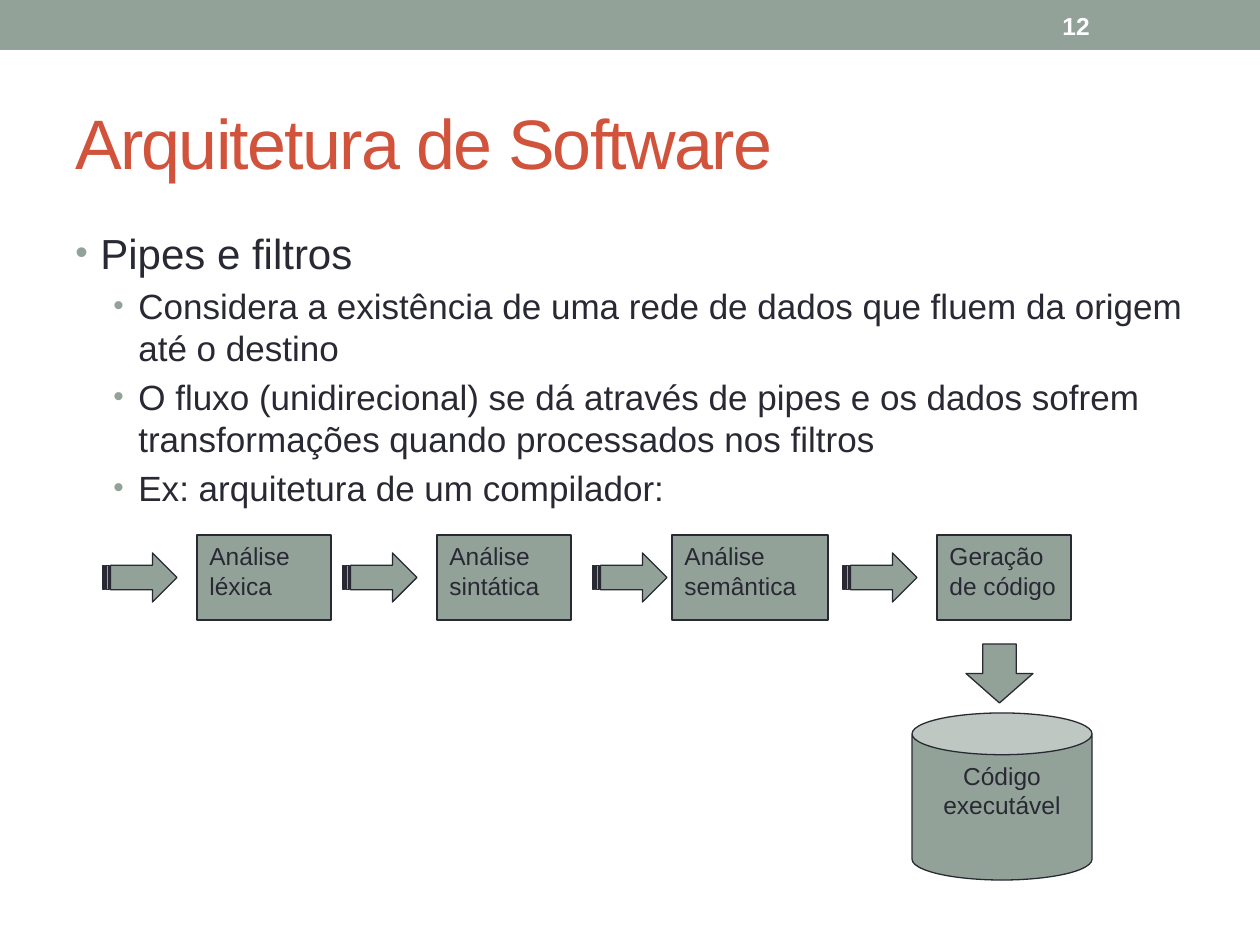
from lxml.etree import SubElement
from pptx import Presentation
from pptx.dml.color import RGBColor
from pptx.enum.shapes import MSO_SHAPE as Shape
from pptx.enum.text import MSO_ANCHOR as Anchor, PP_ALIGN as Align
from pptx.oxml.ns import qn
from pptx.util import Pt

# Content
TITLE = "Arquitetura de Software"
PAGE = "12"
BODY = [  # level, text
    (0, "Pipes e filtros"),
    (1, "Considera a existência de uma rede de dados que fluem da origem até o destino"),
    (1, "O fluxo (unidirecional) se dá através de pipes e os dados sofrem "
        "transformações quando processados nos filtros"),
    (1, "Ex: arquitetura de um compilador:"),
]
STAGES = [  # arrow left, box left, box width, label
    (103, 197, 134, "Análise léxica"),
    (343, 437, 134, "Análise sintática"),
    (593, 672, 156, "Análise semântica"),
    (843, 937, 134, "Geração de código"),
]
RESULT = "Código executável"

COLORS = {"sage": "93A299", "ink": "292934", "red": "D2533C", "white": "FFFFFF"}
LEVELS = [(24, 25), (20, 63)]  # text size in points, indent in px
HANG = 25
SCALE = 914400 / 126


def px(n):
    return round(n * SCALE)


def color(name):
    return RGBColor.from_string(COLORS[name])


def style(para, size, tint, bold=False):
    for run in para.runs:
        font = run.font
        font.name, font.size, font.bold = "Arial", Pt(size), bold
        font.color.rgb = color(tint)


def add_text(box, anchor=Anchor.TOP):
    frame = slide.shapes.add_textbox(*map(px, box)).text_frame
    frame.word_wrap = True
    frame.vertical_anchor = anchor
    return frame


def add_part(kind, box, label="", align=Align.LEFT, line=True):
    part = slide.shapes.add_shape(kind, *map(px, box))
    part.shadow.inherit = False
    part.fill.solid()
    part.fill.fore_color.rgb = color("sage")
    if line:
        part.line.color.rgb = color("ink")
        part.line.width = Pt(0.75)
    else:
        part.line.fill.background()
    if label:
        frame = part.text_frame
        frame.text = label
        frame.vertical_anchor = Anchor.TOP
        frame.paragraphs[0].alignment = align
        style(frame.paragraphs[0], 14, "ink")
    return part


def add_bullet(para, indent):
    props = para._p.get_or_add_pPr()
    props.set("marL", str(px(indent)))
    props.set("indent", str(px(-HANG)))
    tint = SubElement(props, qn("a:buClr"))
    SubElement(tint, qn("a:srgbClr"), val=COLORS["sage"])
    SubElement(props, qn("a:buSzPct"), val="85000")
    SubElement(props, qn("a:buFont"), typeface="Arial")
    SubElement(props, qn("a:buChar"), char="•")


deck = Presentation()
deck.slide_width, deck.slide_height = px(1260), px(945)
slide = deck.slides.add_slide(deck.slide_layouts[6])

# Top band and title
add_part(Shape.RECTANGLE, (0, 0, 1260, 50), line=False)
frame = add_text((63, 73, 1134, 136), Anchor.MIDDLE)
frame.text = TITLE
head = frame.paragraphs[0]
style(head, 40, "red")
head.runs[0].font._element.set("spc", "-100")

# Bullets
frame = add_text((63, 221, 1134, 672))
for i, (level, text) in enumerate(BODY):
    para = frame.add_paragraph() if i else frame.paragraphs[0]
    size, indent = LEVELS[level]
    para.text = text
    para.level = level
    para.space_before = Pt(size * 0.2)
    add_bullet(para, indent)
    style(para, size, "ink")

# Compiler stages, each fed by an arrow
for arrow, left, width, label in STAGES:
    add_part(Shape.FLOWCHART_PROCESS, (left, 535, width, 85), label)
    add_part(Shape.STRIPED_RIGHT_ARROW, (arrow, 553, 74, 49))

# Result
add_part(Shape.DOWN_ARROW, (966, 644, 67, 59))
add_part(Shape.CAN, (912, 713, 180, 167), RESULT, Align.CENTER)

# Page number
frame = add_text((1050, 3, 147, 45), Anchor.MIDDLE)
frame.text = PAGE
style(frame.paragraphs[0], 14, "white", bold=True)

deck.save("out.pptx")
